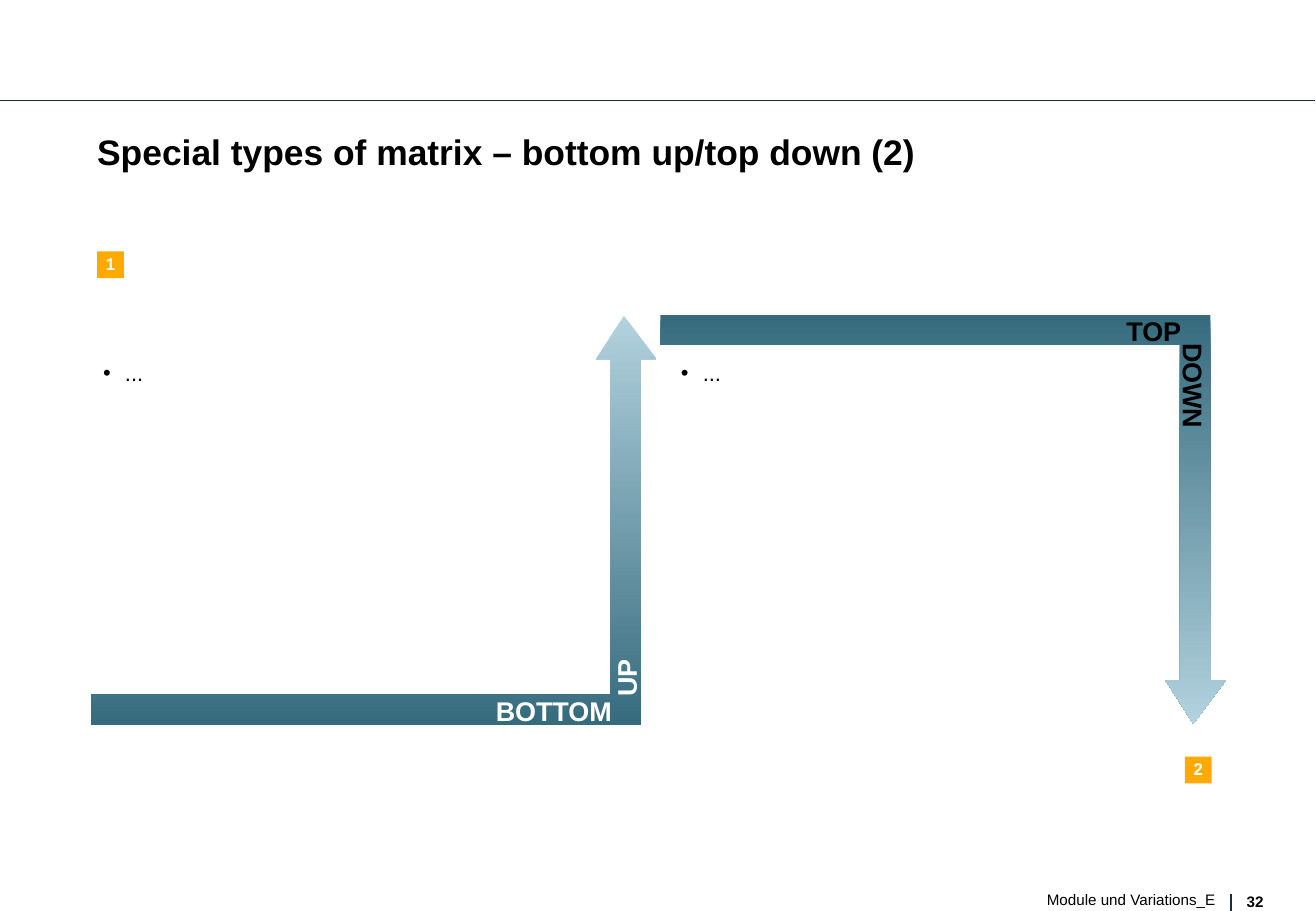
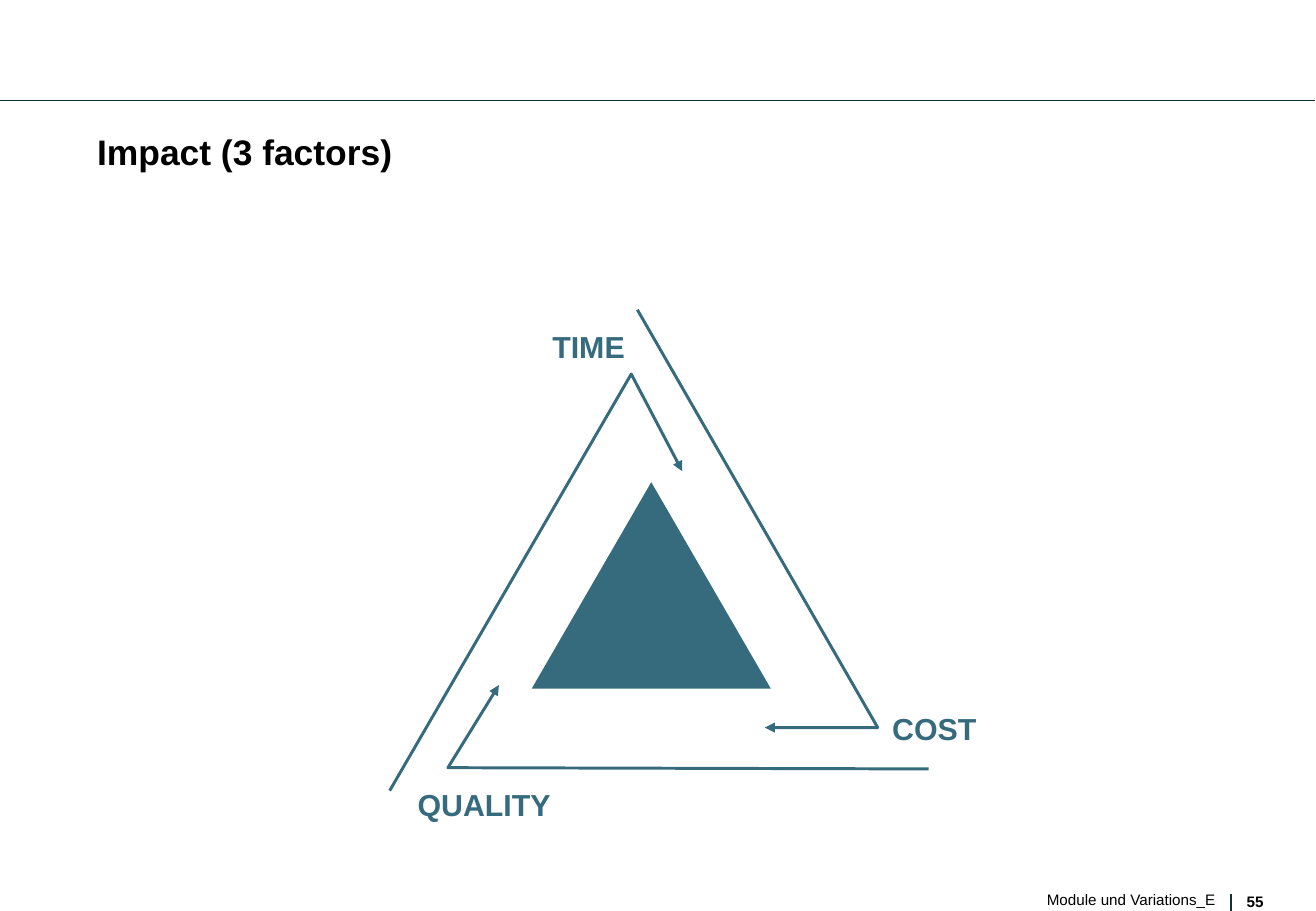
from dataclasses import dataclass
from typing import Any

from lxml.etree import SubElement
from pptx import Presentation
from pptx.dml.color import RGBColor
from pptx.enum.shapes import MSO_CONNECTOR, MSO_SHAPE
from pptx.enum.text import MSO_ANCHOR, MSO_AUTO_SIZE, PP_ALIGN
from pptx.oxml.ns import qn
from pptx.util import Inches, Pt

TEAL, PALE, RULE = "366B7E", "B2D2DE", "172F37"
ORANGE, BLACK, WHITE = "FFAA00", "000000", "FFFFFF"
FONT = "Arial"
FOOTER = "Module und Variations_E"
BULLET_INDENT = Inches(0.18)
RIGHT_SHIFT, MIRROR_SUM = 4.69, 8.56

Point = tuple[float, float]


@dataclass(frozen=True)
class Label:
    text: str
    left: float
    top: float
    width: float
    height: float
    size: float
    color: str = BLACK
    bold: bool = True
    align: Any = PP_ALIGN.LEFT
    anchor: Any = MSO_ANCHOR.TOP
    spacing: Any = None
    rotation: float = 0
    wrap: bool = True
    bullet: bool = False


@dataclass(frozen=True)
class Marker:
    text: str
    left: float
    top: float


UP_ARROW: list[Point] = [
    (0.75, 5.72), (5.03, 5.72), (5.03, 2.96), (4.91, 2.96), (5.14, 2.6),
    (5.41, 2.96), (5.28, 2.96), (5.28, 5.97), (0.75, 5.97),
]
DOWN_ARROW: list[Point] = [(x + RIGHT_SHIFT, MIRROR_SUM - y) for x, y in UP_ARROW]

MATRIX_LABELS = [
    Label("...", 0.85, 2.96, 3.97, 0.22, 13, bold=False, bullet=True),
    Label("...", 5.61, 2.96, 3.97, 0.22, 13, bold=False, bullet=True),
    Label("BOTTOM", 3.99, 5.72, 1.05, 0.27, 16, WHITE, align=PP_ALIGN.RIGHT),
    Label("UP", 4.66, 5.1, 1, 0.27, 16, WHITE, rotation=270),
    Label("TOP", 8.99, 2.59, 0.74, 0.27, 16, align=PP_ALIGN.RIGHT),
    Label("DOWN", 9.33, 3.19, 1, 0.27, 16, rotation=90),
]
MARKERS = [Marker("1", 0.8, 2.07), Marker("2", 9.76, 6.23)]

FACTOR_ARROWS: list[list[Point]] = [
    [(3.21, 6.51), (5.2, 3.08), (5.62, 3.88)],
    [(7.65, 6.33), (3.69, 6.32), (4.11, 5.64)],
    [(5.25, 2.55), (7.23, 5.99), (6.3, 5.99)],
]
FACTOR_LABELS = [
    Label("QUALITY", 3.44, 6.47, 1.1, 0.3, 18, TEAL, wrap=False),
    Label("TIME", 4.55, 2.7, 0.6, 0.3, 18, TEAL, wrap=False),
    Label("COST", 7.35, 5.85, 0.7, 0.3, 18, TEAL, wrap=False),
]


def rgb(color: str) -> RGBColor:
    return RGBColor.from_string(color)


def apply_format(target: Any, values: dict[str, Any]) -> None:
    for name, value in values.items():
        setattr(target, name, value)


def fill_plain(shape: Any, color: str) -> None:
    shape.shadow.inherit = False
    shape.fill.solid()
    shape.fill.fore_color.rgb = rgb(color)
    shape.line.fill.background()


def add_bullet(para: Any) -> None:
    properties = para._p.get_or_add_pPr()
    properties.set("marL", str(BULLET_INDENT))
    properties.set("indent", str(-BULLET_INDENT))
    color = SubElement(properties, qn("a:buClr"))
    SubElement(color, qn("a:srgbClr")).set("val", BLACK)
    SubElement(properties, qn("a:buFont")).set("typeface", FONT)
    SubElement(properties, qn("a:buChar")).set("char", "•")


def write_label(shape: Any, label: Label) -> None:
    apply_format(shape, {
        "left": Inches(label.left), "top": Inches(label.top),
        "width": Inches(label.width), "height": Inches(label.height),
        "rotation": label.rotation,
    })
    frame = shape.text_frame
    apply_format(frame, {
        "margin_left": 0, "margin_right": 0, "margin_top": 0, "margin_bottom": 0,
        "word_wrap": label.wrap, "vertical_anchor": label.anchor,
        "auto_size": MSO_AUTO_SIZE.NONE,
    })
    para = frame.paragraphs[0]
    apply_format(para, {"alignment": label.align, "line_spacing": label.spacing})
    if label.bullet:
        add_bullet(para)
    span = para.add_run()
    span.text = label.text
    apply_format(span.font, {"name": FONT, "size": Pt(label.size), "bold": label.bold})
    span.font.color.rgb = rgb(label.color)


def add_labels(shapes: Any, labels: list[Label]) -> None:
    for label in labels:
        box = shapes.add_textbox(0, 0, Inches(label.width), Inches(label.height))
        write_label(box, label)


def add_rule(shapes: Any, start: Point, end: Point) -> None:
    rule = shapes.add_connector(
        MSO_CONNECTOR.STRAIGHT, *(Inches(value) for value in (*start, *end)))
    rule.line.color.rgb = rgb(RULE)
    rule.line.width = Pt(0.75)
    SubElement(rule._element.spPr, qn("a:effectLst"))


def add_outline(shapes: Any, points: list[Point], close: bool) -> Any:
    corners = [(Inches(x), Inches(y)) for x, y in points]
    builder = shapes.build_freeform(*corners[0])
    builder.add_line_segments(corners[1:], close=close)
    outline = builder.convert_to_shape()
    outline.shadow.inherit = False
    return outline


def add_gradient_arrow(shapes: Any, points: list[Point], colors: tuple[str, str]) -> None:
    arrow = add_outline(shapes, points, close=True)
    arrow.line.fill.background()
    arrow.fill.gradient()
    arrow.fill.gradient_angle = 270
    for stop, color in zip(arrow.fill.gradient_stops, colors):
        stop.color.rgb = rgb(color)


def add_bent_arrow(shapes: Any, points: list[Point]) -> None:
    arrow = add_outline(shapes, points, close=False)
    arrow.fill.background()
    arrow.line.color.rgb = rgb(TEAL)
    arrow.line.width = Pt(1.75)
    SubElement(arrow.line._get_or_add_ln(), qn("a:tailEnd")).set("type", "triangle")


def add_marker(shapes: Any, marker: Marker) -> None:
    side = 0.22
    square = shapes.add_shape(MSO_SHAPE.RECTANGLE, 0, 0, Inches(side), Inches(side))
    fill_plain(square, ORANGE)
    write_label(square, Label(
        marker.text, marker.left, marker.top, side, side, 10, WHITE,
        align=PP_ALIGN.CENTER, anchor=MSO_ANCHOR.MIDDLE, spacing=0.93, wrap=False))


def add_page(deck: Any, title: str, number: str) -> Any:
    page = deck.slides.add_slide(deck.slide_layouts[5])
    add_rule(page.shapes, (0, 0.83), (10.83, 0.83))
    add_rule(page.shapes, (10.14, 7.36), (10.14, 7.5))
    write_label(page.shapes.title, Label(title, 0.8, 1.1, 9.36, 0.72, 21, spacing=0.93))
    add_labels(page.shapes, [
        Label(number, 10.27, 7.35, 0.17, 0.14, 9),
        Label(FOOTER, 6.22, 7.33, 3.79, 0.15, 9, bold=False,
              align=PP_ALIGN.RIGHT, spacing=Pt(11)),
    ])
    return page


def build_matrix(deck: Any) -> None:
    page = add_page(deck, "Special types of matrix – bottom up/top down (2)", "32")
    add_gradient_arrow(page.shapes, UP_ARROW, (PALE, TEAL))
    add_gradient_arrow(page.shapes, DOWN_ARROW, (TEAL, PALE))
    add_labels(page.shapes, MATRIX_LABELS)
    for marker in MARKERS:
        add_marker(page.shapes, marker)


def build_impact(deck: Any) -> None:
    page = add_page(deck, "Impact (3 factors)", "55")
    diagram = page.shapes.add_group_shape().shapes
    triangle = diagram.add_shape(
        MSO_SHAPE.ISOSCELES_TRIANGLE,
        Inches(4.38), Inches(3.97), Inches(1.97), Inches(1.7))
    fill_plain(triangle, TEAL)
    for points in FACTOR_ARROWS:
        add_bent_arrow(diagram, points)
    add_labels(diagram, FACTOR_LABELS)


def main() -> None:
    deck = Presentation()
    apply_format(deck, {"slide_width": Inches(10.84), "slide_height": Inches(7.5)})
    build_matrix(deck)
    build_impact(deck)
    deck.save("out.pptx")


if __name__ == "__main__":
    main()
